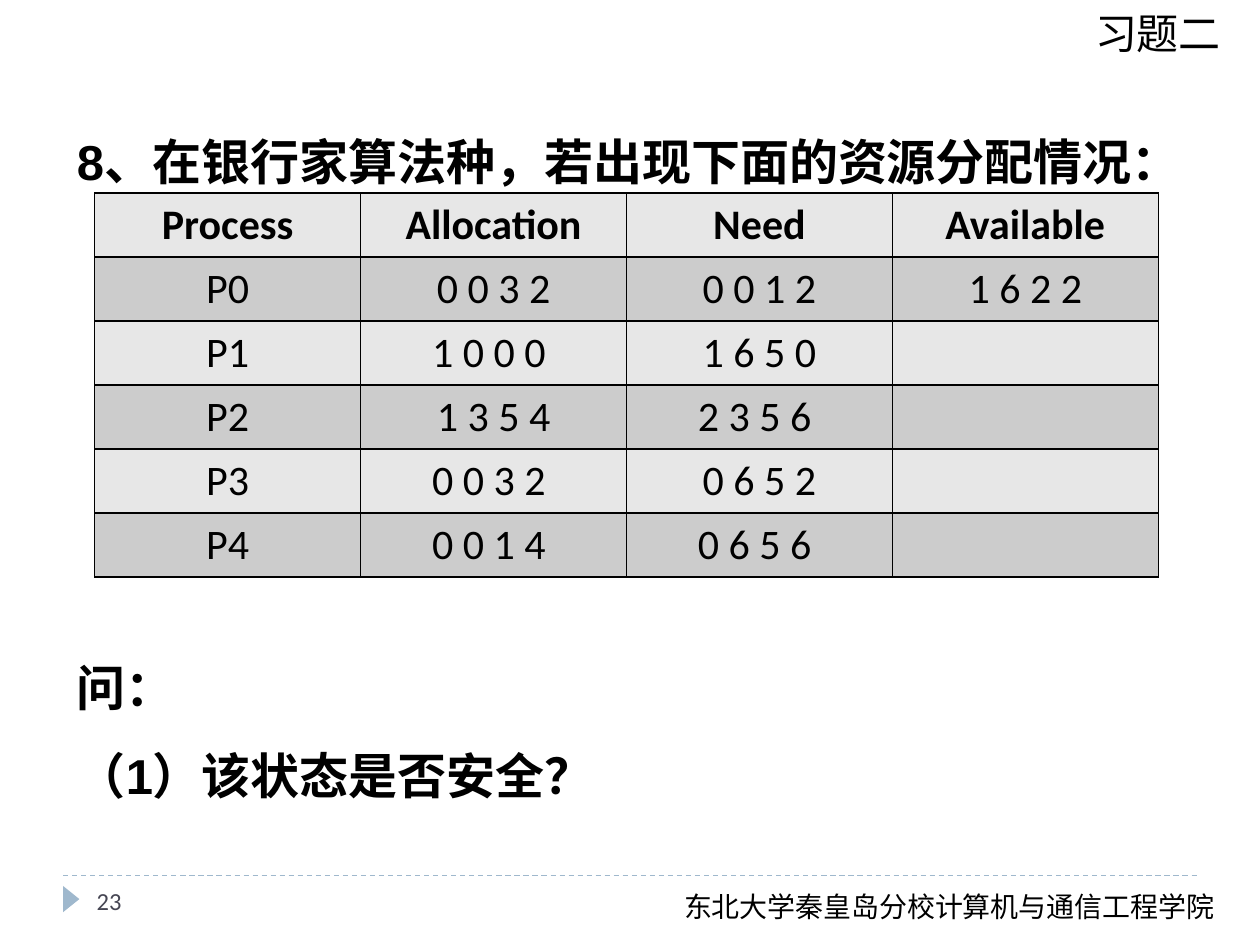
from dataclasses import dataclass
from lxml import etree
from pptx import Presentation
from pptx.dml.color import RGBColor
from pptx.enum.dml import MSO_LINE
from pptx.enum.shapes import MSO_CONNECTOR, MSO_SHAPE
from pptx.enum.text import MSO_ANCHOR, PP_ALIGN
from pptx.oxml.ns import qn
from pptx.util import Cm, Pt


@dataclass(frozen=True)
class Theme:
    ink: str = "000000"
    accent: str = "9FB8CD"
    muted: str = "464653"
    light_row: str = "E7E7E7"
    dark_row: str = "CCCCCC"
    font: str = "Calibri"
    question_font: str = "Arial"
    question: int = 28
    table: int = 24
    title: int = 24
    footer: int = 16
    number: int = 14


theme = Theme()


def write(paragraph, text, size, color=theme.ink, font=theme.font, bold=False):
    run = paragraph.add_run()
    run.text = text
    run.font.size, run.font.name, run.font.bold = Pt(size), font, bold
    run.font.color.rgb = RGBColor.from_string(color)
    props = run._r.get_or_add_rPr()
    etree.SubElement(props, qn("a:ea")).set("typeface", font)


def text_box(left, top, width, height, wrap=True):
    frame = slide.shapes.add_textbox(Cm(left), Cm(top), Cm(width), Cm(height)).text_frame
    frame.word_wrap = wrap
    return frame


prs = Presentation()
prs.slide_width, prs.slide_height = Cm(25.4), Cm(19.05)
slide = prs.slides.add_slide(prs.slide_layouts[5])

# Footer rule and marker
rule = slide.shapes.add_connector(MSO_CONNECTOR.STRAIGHT, Cm(1.27), Cm(17.65), Cm(24.13), Cm(17.65))
rule.line.color.rgb = RGBColor.from_string(theme.accent)
rule.line.width = Pt(0.75)
rule.line.dash_style = MSO_LINE.DASH
etree.SubElement(rule._element.spPr, qn("a:effectLst"))

marker = slide.shapes.add_shape(MSO_SHAPE.ISOSCELES_TRIANGLE, Cm(1.17), Cm(17.96), Cm(0.53), Cm(0.33))
marker.rotation = 90
marker.shadow.inherit = False
marker.fill.solid()
marker.fill.fore_color.rgb = RGBColor.from_string(theme.accent)
marker.line.fill.background()

# Footer text and slide number
school = text_box(13.54, 17.8, 11.35, 0.94, wrap=False)
write(school.paragraphs[0], "东北大学秦皇岛分校计算机与通信工程学院", theme.footer)
number = text_box(1.7, 17.65, 5.5, 1.02)
number.vertical_anchor = MSO_ANCHOR.MIDDLE
write(number.paragraphs[0], "23", theme.number, theme.muted)

# Title
title = slide.shapes.title
title.left, title.top, title.width, title.height = Cm(21.82), Cm(0.03), Cm(3.05), Cm(2.31)
title.text_frame.word_wrap = False
title.text_frame.vertical_anchor = MSO_ANCHOR.TOP
title.text_frame.paragraphs[0].alignment = PP_ALIGN.LEFT
write(title.text_frame.paragraphs[0], "习题二", theme.title)

# Question, with room for the table after its first line
question = text_box(1.3, 1.93, 22.8, 15.01)
lines = [
    ("8、在银行家算法种，若出现下面的资源分配情况：", 0),
    ("问：", 250),
    ("（1）该状态是否安全？", 0),
]
for index, (line, gap) in enumerate(lines):
    paragraph = question.add_paragraph() if index else question.paragraphs[0]
    paragraph.line_spacing = 1.5
    paragraph.space_before = Pt(gap)
    write(paragraph, line, theme.question, font=theme.question_font, bold=True)

# Resource table
rows = [
    ("Process", "Allocation", "Need", "Available"),
    ("P0", "0 0 3 2", "0 0 1 2", "1 6 2 2"),
    ("P1", "1 0 0 0 ", "1 6 5 0", ""),
    ("P2", "1 3 5 4", "2 3 5 6 ", ""),
    ("P3", "0 0 3 2 ", "0 6 5 2", ""),
    ("P4", "0 0 1 4 ", "0 6 5 6 ", ""),
]
row_height, column_width = 1.29, 5.36
table = slide.shapes.add_table(
    len(rows), len(rows[0]), Cm(1.91), Cm(3.89),
    Cm(column_width * len(rows[0])), Cm(row_height * len(rows)),
).table
for r, row in enumerate(rows):
    for c, value in enumerate(row):
        cell = table.cell(r, c)
        cell.vertical_anchor = MSO_ANCHOR.MIDDLE
        cell.fill.solid()
        cell.fill.fore_color.rgb = RGBColor.from_string(theme.dark_row if r % 2 else theme.light_row)
        if value:
            paragraph = cell.text_frame.paragraphs[0]
            paragraph.alignment = PP_ALIGN.CENTER
            write(paragraph, value, theme.table, bold=r == 0)
        # Borders precede the fill in the cell properties
        props = cell._tc.get_or_add_tcPr()
        for position, side in enumerate(("lnL", "lnR", "lnT", "lnB")):
            border = etree.Element(qn(f"a:{side}"), w=str(Pt(1)))
            fill = etree.SubElement(border, qn("a:solidFill"))
            etree.SubElement(fill, qn("a:srgbClr")).set("val", theme.ink)
            props.insert(position, border)

prs.save("out.pptx")
